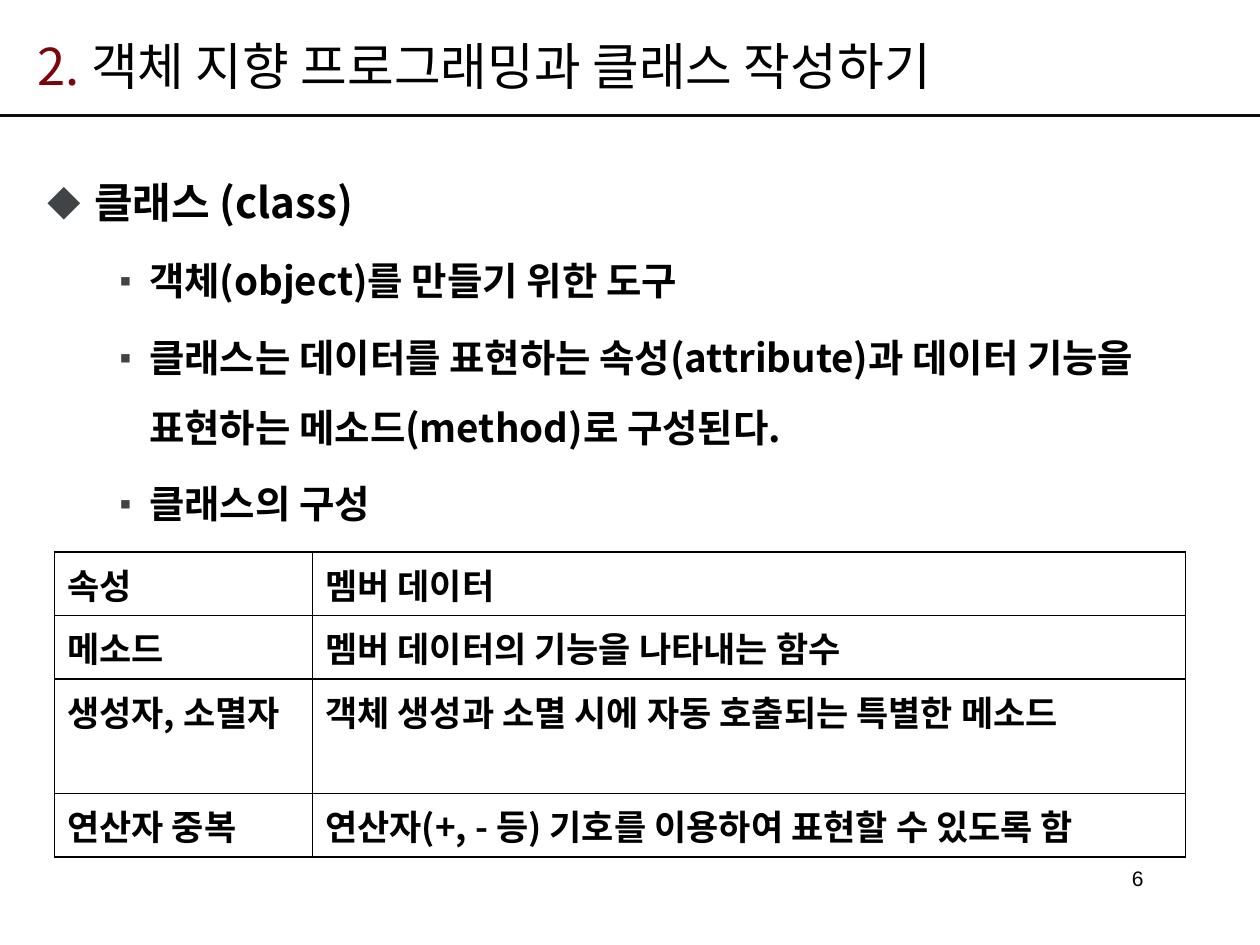
from lxml import etree
from pptx import Presentation
from pptx.dml.color import RGBColor
from pptx.enum.shapes import MSO_CONNECTOR
from pptx.enum.text import MSO_ANCHOR, MSO_AUTO_SIZE, PP_ALIGN
from pptx.oxml.ns import qn
from pptx.util import Cm, Pt

STRAIGHT = MSO_CONNECTOR.STRAIGHT
MIDDLE = MSO_ANCHOR.MIDDLE
NO_AUTOFIT = MSO_AUTO_SIZE.NONE
LEFT, RIGHT = PP_ALIGN.LEFT, PP_ALIGN.RIGHT
KOREAN, LATIN = "Noto Sans CJK KR", "Arial"
BLACK, RULE, ACCENT, BULLET = "000000", "0D0D0D", "7E040B", "404447"


def color(value):
    return RGBColor.from_string(value)


class SlideBuilder:
    """Holds the slide style and adds each kind of element."""

    def __init__(self, slide):
        self.slide = slide

    def run(self, paragraph, text, size, ink=BLACK, bold=False, font=KOREAN):
        run = paragraph.add_run()
        run.text = text
        run.font.size = Pt(size)
        run.font.bold = bold
        run.font.name = font
        run.font.color.rgb = color(ink)
        east_asian = etree.Element(qn("a:ea"), typeface=font)
        run.font._element.find(qn("a:latin")).addnext(east_asian)

    def title(self, box, parts, size):
        title = self.slide.shapes.title
        title.left, title.top, title.width, title.height = map(Cm, box)
        frame = title.text_frame
        frame.auto_size = NO_AUTOFIT
        frame.vertical_anchor = MIDDLE
        paragraph = frame.paragraphs[0]
        paragraph.alignment = LEFT
        for text, ink in parts:
            self.run(paragraph, text, size, ink)

    def rule(self, y, width):
        rule = self.slide.shapes.add_connector(STRAIGHT, 0, Cm(y), Cm(width), Cm(y))
        rule.line.color.rgb = color(RULE)
        rule.line.width = Pt(1.5)
        etree.SubElement(rule._element.spPr, qn("a:effectLst"))

    def text_frame(self, box):
        frame = self.slide.shapes.add_textbox(*map(Cm, box)).text_frame
        frame.word_wrap = True
        return frame

    def bullets(self, box, items, levels):
        frame = self.text_frame(box)
        for index, (level, text) in enumerate(items):
            paragraph = frame.add_paragraph() if index else frame.paragraphs[0]
            size, mark, margin, hanging = levels[level]
            paragraph.level = level
            paragraph.line_spacing = 1.5
            paragraph.space_before = Pt(size * 0.2)
            self.run(paragraph, text, size, bold=True)
            properties = paragraph._p.get_or_add_pPr()
            properties.set("marL", str(Cm(margin)))
            properties.set("indent", str(-Cm(hanging)))
            tint = etree.SubElement(properties, qn("a:buClr"))
            etree.SubElement(tint, qn("a:srgbClr"), val=BULLET)
            etree.SubElement(properties, qn("a:buSzPct"), val="80000")
            etree.SubElement(properties, qn("a:buFont"), typeface=KOREAN)
            etree.SubElement(properties, qn("a:buChar"), char=mark)

    def page_number(self, box, number):
        paragraph = self.text_frame(box).paragraphs[0]
        paragraph.alignment = RIGHT
        self.run(paragraph, number, 12, font=LATIN)

    def border(self, cell):
        properties = cell._tc.get_or_add_tcPr()
        for index, side in enumerate(("a:lnL", "a:lnR", "a:lnT", "a:lnB")):
            edge = etree.Element(qn(side), w=str(Pt(1)))
            fill = etree.SubElement(edge, qn("a:solidFill"))
            etree.SubElement(fill, qn("a:srgbClr"), val=BLACK)
            properties.insert(index, edge)

    def table(self, box, rows, widths, heights):
        table = self.slide.shapes.add_table(
            len(rows), len(widths), *map(Cm, box)).table
        table.first_row = table.horz_banding = False
        for column, width in zip(table.columns, widths):
            column.width = Cm(width)
        for row, height, texts in zip(table.rows, heights, rows):
            row.height = Cm(height)
            for cell, text in zip(row.cells, texts):
                cell.fill.background()
                self.border(cell)
                self.run(cell.text_frame.paragraphs[0], text, 20, bold=True)


presentation = Presentation()
presentation.slide_width, presentation.slide_height = Cm(25.4), Cm(19.05)
title_only = presentation.slide_layouts[5]
builder = SlideBuilder(presentation.slides.add_slide(title_only))

builder.rule(2.33, 25.4)
builder.title(
    (0.5, 0.53, 21.4, 1.55),
    [("2. ", ACCENT), ("객체 지향 프로그래밍과 클래스 작성하기", BLACK)],
    29)
builder.bullets(
    (0.7, 2.92, 23.2, 13.6),
    [
        (0, "클래스 (class)"),
        (1, "객체(object)를 만들기 위한 도구"),
        (1, "클래스는 데이터를 표현하는 속성(attribute)과 데이터 기능을 "
            "표현하는 메소드(method)로 구성된다."),
        (1, "클래스의 구성"),
    ],
    [(24, "◆", 0.95, 0.95), (22, "▪", 2.06, 0.79)])
builder.page_number((17.5, 17.32, 5.8, 0.7), "6")
builder.table(
    (1.1, 11.13, 22.8, 6.15),
    [
        ("속성", "멤버 데이터"),
        ("메소드", "멤버 데이터의 기능을 나타내는 함수"),
        ("생성자, 소멸자", "객체 생성과 소멸 시에 자동 호출되는 특별한 메소드"),
        ("연산자 중복", "연산자(+, - 등) 기호를 이용하여 표현할 수 있도록 함"),
    ],
    [5.2, 17.6],
    [1.28, 1.28, 2.31, 1.28])

presentation.save("out.pptx")
